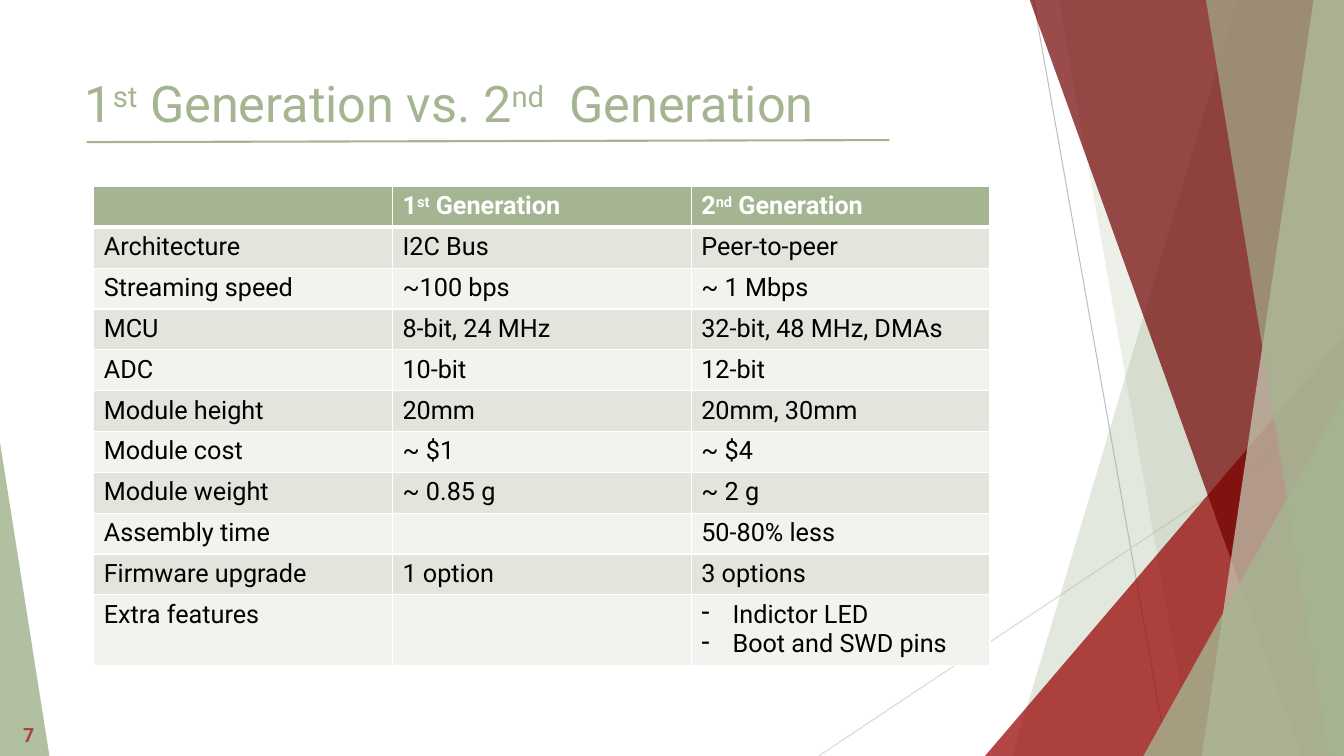
from pptx import Presentation
from pptx.dml.color import RGBColor
from pptx.enum import shapes, text
from pptx.oxml import parse_xml
from pptx.oxml.ns import nsdecls, qn
from pptx.util import Inches, Pt

SAGE = RGBColor(0xA5, 0xB5, 0x92)
PALE_SAGE = RGBColor(0xC9, 0xD3, 0xBE)
CRIMSON = RGBColor(0x96, 0x00, 0x00)
MAROON = RGBColor(0x70, 0x00, 0x00)
NUMBER_RED = RGBColor(0xAC, 0x41, 0x3E)
GRAY = RGBColor(0xBF, 0xBF, 0xBF)
LIGHT_GRAY = RGBColor(0xD9, 0xD9, 0xD9)
BAND_DARK = RGBColor(0xE1, 0xE5, 0xDC)
BAND_LIGHT = RGBColor(0xF0, 0xF3, 0xEE)
BLACK = RGBColor(0, 0, 0)
WHITE = RGBColor(0xFF, 0xFF, 0xFF)

WIDTH, HEIGHT = 13.33, 7.5
TOP = -0.01


def write(frame, content, size=18, color=BLACK, bold=False, align=None, after=None, dashed=False):
    """Fill a text frame, one paragraph a line; text between ^ marks is superscript."""
    for index, line in enumerate(content.split("\n")):
        paragraph = frame.add_paragraph() if index else frame.paragraphs[0]
        paragraph.alignment = align
        if after is not None:
            paragraph.space_after = Pt(after)
        if dashed:
            properties = paragraph._p.get_or_add_pPr()
            properties.set("marL", str(Inches(0.31)))
            properties.set("indent", str(-Inches(0.31)))
            properties.append(parse_xml(f'<a:buChar {nsdecls("a")} char="-"/>'))
        for part, piece in enumerate(line.split("^")):
            run = paragraph.add_run()
            run.text = piece
            run.font.name = "Roboto"
            run.font.size = Pt(size)
            run.font.bold = bold
            run.font.color.rgb = color
            if part % 2:
                run._r.get_or_add_rPr().set("baseline", "30000")


def paint(shape, color, opacity):
    """Give a shape a translucent fill with no outline or shadow."""
    shape.shadow.inherit = False
    shape.line.fill.background()
    shape.fill.solid()
    shape.fill.fore_color.rgb = color
    tint = shape.fill._xPr.find(qn("a:solidFill"))[0]
    tint.append(parse_xml(f'<a:alpha {nsdecls("a")} val="{opacity * 1000}"/>'))


deck = Presentation()
deck.slide_width, deck.slide_height = Inches(WIDTH), Inches(HEIGHT)
slide = deck.slides.add_slide(deck.slide_layouts[6])

# Thin lines: two behind the ribbons and the rule under the title
rules = [
    (10.25, 0, 11.58, HEIGHT, GRAY, 0.75),
    (WIDTH, 4.03, 8.12, HEIGHT, LIGHT_GRAY, 0.75),
    (0.86, 1.41, 8.82, 1.39, SAGE, 1.5),
]
for x1, y1, x2, y2, color, weight in rules:
    rule = slide.shapes.add_connector(
        shapes.MSO_CONNECTOR.STRAIGHT, Inches(x1), Inches(y1), Inches(x2), Inches(y2))
    rule.line.color.rgb = color
    rule.line.width = Pt(weight)
    rule._element.spPr.append(parse_xml(f'<a:effectLst {nsdecls("a")}/>'))

# Ribbons run to the right edge; only their left side slants (top x, bottom x).
# Triangles are (left, top, width, apex position).
decorations = [
    ("ribbon", (12.28, 10.04), SAGE, 30),
    ("ribbon", (10.5, 11.83), SAGE, 20),
    ("triangle", (9.77, 3.33, 3.56, 1), CRIMSON, 72),
    ("ribbon", (10.21, 12.91), MAROON, 70),
    ("ribbon", (13.03, 11.92), PALE_SAGE, 70),
    ("ribbon", (11.96, 13.18), SAGE, 65),
    ("triangle", (11.34, 3.93, 1.99, 1), SAGE, 80),
    ("triangle", (0, 4.39, 0.49, 0), SAGE, 85),
]
for kind, geometry, color, opacity in decorations:
    if kind == "ribbon":
        top_x, bottom_x = geometry
        outline = slide.shapes.build_freeform(Inches(top_x), Inches(TOP))
        corners = [(WIDTH, TOP), (WIDTH, HEIGHT), (bottom_x, HEIGHT)]
        outline.add_line_segments([(Inches(x), Inches(y)) for x, y in corners], close=True)
        decoration = outline.convert_to_shape()
    else:
        left, top, width, apex = geometry
        decoration = slide.shapes.add_shape(
            shapes.MSO_SHAPE.ISOSCELES_TRIANGLE,
            Inches(left), Inches(top), Inches(width), Inches(HEIGHT - top))
        decoration.adjustments[0] = apex
    paint(decoration, color, opacity)

title = slide.shapes.add_textbox(Inches(0.74), Inches(0.67), Inches(9.4), Inches(0.9)).text_frame
title.word_wrap = True
write(title, "1^st^ Generation vs. 2^nd^  Generation", size=36, color=SAGE, after=6)

number = slide.shapes.add_textbox(0, Inches(7.09), Inches(0.44), Inches(0.4)).text_frame
number.word_wrap = True
number.vertical_anchor = text.MSO_ANCHOR.MIDDLE
write(number, "7", size=14, color=NUMBER_RED, bold=True, align=text.PP_ALIGN.RIGHT)

comparison = [
    ("", "1^st^ Generation", "2^nd^ Generation"),
    ("Architecture", "I2C Bus", "Peer-to-peer"),
    ("Streaming speed", "~100 bps", "~ 1 Mbps"),
    ("MCU", "8-bit, 24 MHz", "32-bit, 48 MHz, DMAs"),
    ("ADC", "10-bit", "12-bit"),
    ("Module height", "20mm", "20mm, 30mm"),
    ("Module cost", "~ $1", "~ $4"),
    ("Module weight", "~ 0.85 g", "~ 2 g"),
    ("Assembly time", "", "50-80% less"),
    ("Firmware upgrade", "1 option", "3 options"),
    ("Extra features", "", "Indictor LED\nBoot and SWD pins"),
]
table = slide.shapes.add_table(
    len(comparison), 3, Inches(0.93), Inches(1.85), Inches(8.89), Inches(4.46)).table
table.rows[len(comparison) - 1].height = Inches(0.68)
for row, entries in enumerate(comparison):
    header = row == 0
    for column, entry in enumerate(entries):
        cell = table.cell(row, column)
        for side in "LRTB":
            heavy = (row, side) in [(0, "B"), (1, "T")]
            cell._tc.get_or_add_tcPr().append(parse_xml(
                f'<a:ln{side} {nsdecls("a")} w="{Pt(3 if heavy else 1)}"><a:solidFill>'
                f'<a:srgbClr val="{WHITE}"/></a:solidFill></a:ln{side}>'))
        cell.fill.solid()
        cell.fill.fore_color.rgb = SAGE if header else BAND_DARK if row % 2 else BAND_LIGHT
        if entry:
            write(cell.text_frame, entry, color=WHITE if header else BLACK,
                  bold=header, dashed="\n" in entry)

deck.save("out.pptx")
